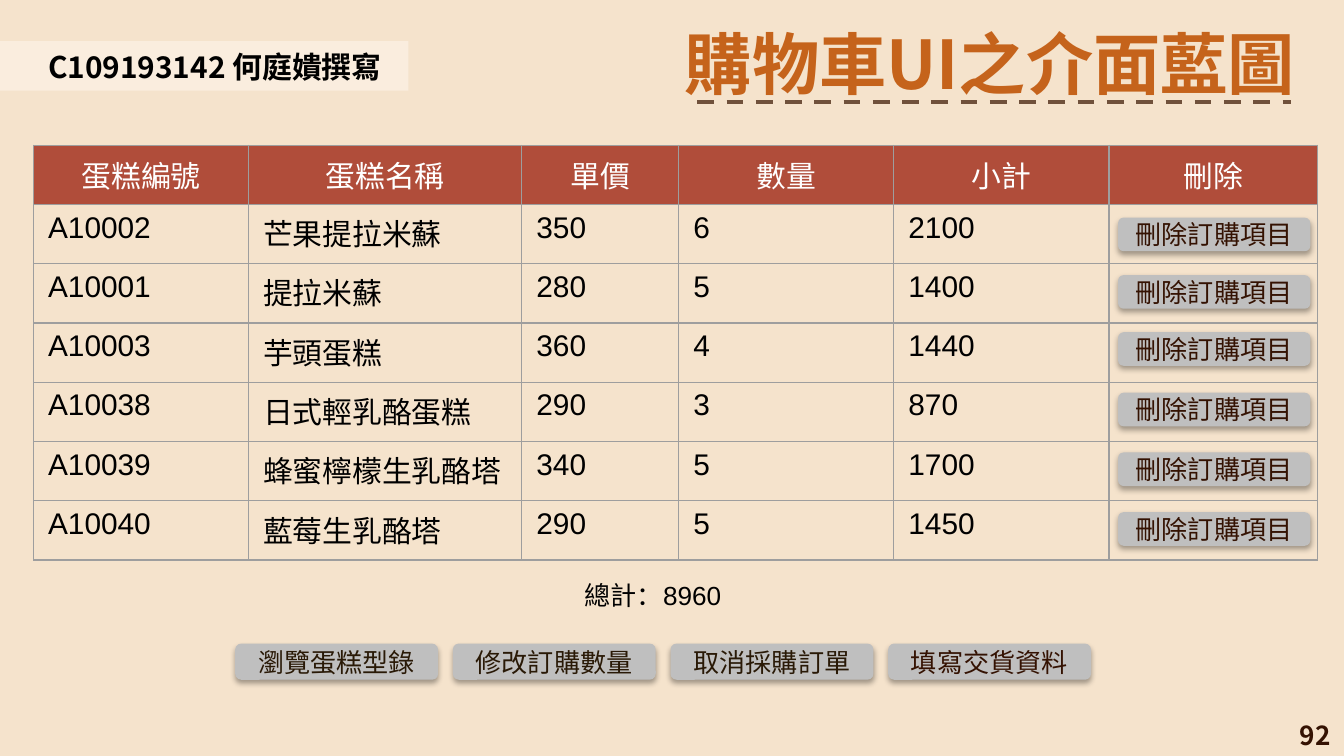
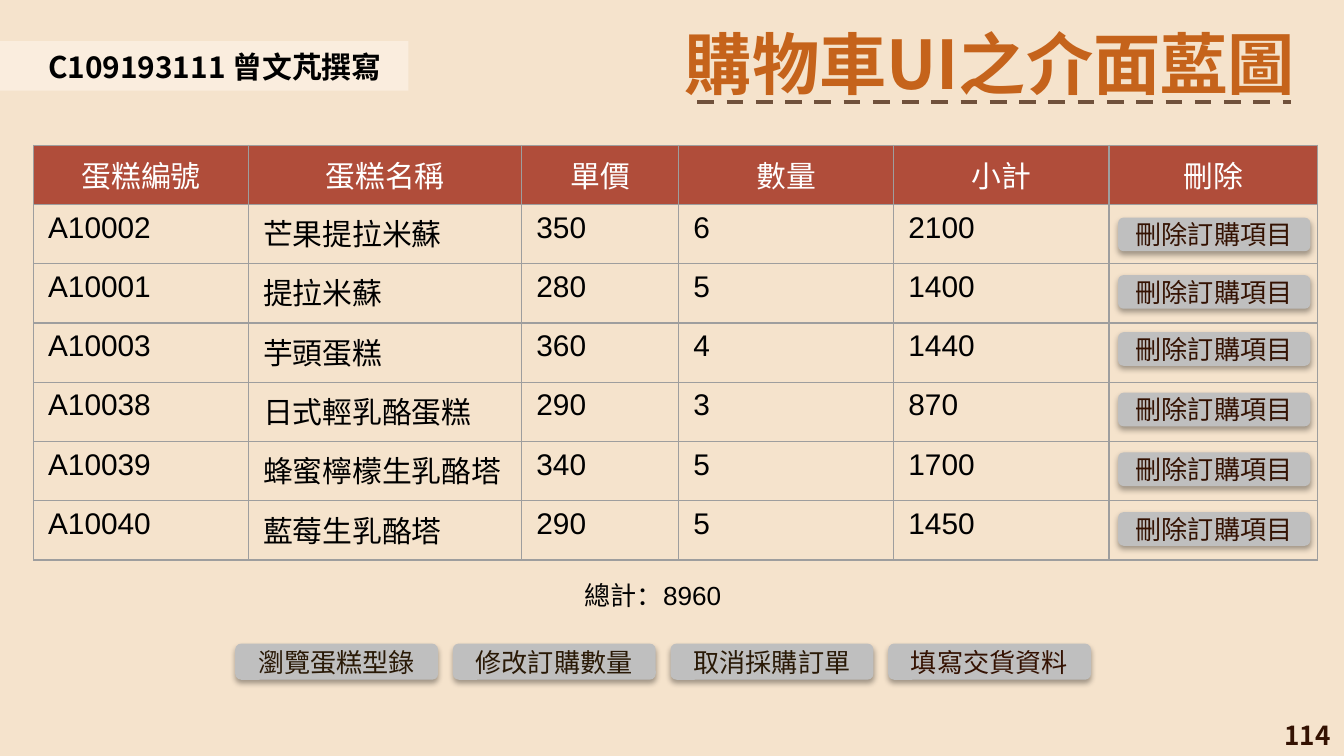
from dataclasses import dataclass

from lxml import etree
from pptx import Presentation
from pptx import slide as s
from pptx import util as u
from pptx.dml import color
from pptx.enum import dml, shapes, text
from pptx.oxml import ns

Pt = u.Pt
HUES = {
    "page": "F5E3CC", "title": "C5631B", "dash": "70513B", "band": "FAEDDE",
    "head": "B04D3A", "grid": "9E9E9E", "key": "BFBFBF", "brown": "291906",
    "wine": "341202", "black": "000000", "white": "FFFFFF",
}
SANS, BOLD = "Arial", "Noto Sans CJK SC"
LEFT, MID = text.PP_ALIGN.LEFT, text.PP_ALIGN.CENTER
RIGHT, FULL = text.PP_ALIGN.RIGHT, text.PP_ALIGN.JUSTIFY
TITLE = "購物車UI之介面藍圖"
HEAD = ("蛋糕編號", "蛋糕名稱", "單價", "數量", "小計", "刪除")
CAKES = (
    ("A10002", "芒果提拉米蘇", 350, 6),
    ("A10001", "提拉米蘇", 280, 5),
    ("A10003", "芋頭蛋糕", 360, 4),
    ("A10038", "日式輕乳酪蛋糕", 290, 3),
    ("A10039", "蜂蜜檸檬生乳酪塔", 340, 5),
    ("A10040", "藍莓生乳酪塔", 290, 5),
)
WIDTHS = (115.2, 146.4, 84.1, 115.2, 115.2, 111.8)
ROW = 31.75


@dataclass(frozen=True)
class Box:
    x: float
    y: float
    w: float
    h: float

    def place(self) -> tuple[int, ...]:
        return tuple(Pt(n) for n in (self.x, self.y, self.w, self.h))


@dataclass(frozen=True)
class Look:
    size: float
    hue: str
    face: str = SANS
    align: int = LEFT


@dataclass(frozen=True)
class Key:
    label: str
    box: Box
    hue: str


@dataclass(frozen=True)
class Page:
    author: str
    number: int


PAGES = (Page("C109193142 何庭嬇撰寫", 92), Page("C109193111 曾文芃撰寫", 114))
TASKS = (("瀏覽蛋糕型錄", "brown"), ("修改訂購數量", "brown"),
         ("取消採購訂單", "brown"), ("填寫交貨資料", "wine"))
DROPS = (116.6, 147.4, 178, 210.4, 242.4, 274.4)
KEYS = [Key(label, Box(126 + 116.6 * i, 344.8, 108.7, 19.4), hue)
        for i, (label, hue) in enumerate(TASKS)]
KEYS += [Key("刪除訂購項目", Box(599, y, 103, 18), "wine") for y in DROPS]


def tint(name: str) -> color.RGBColor:
    return color.RGBColor.from_string(HUES[name])


def write(frame, words: str, look: Look) -> None:
    frame.text = words
    for para in frame.paragraphs:
        para.alignment = look.align
        for run in para.runs:
            font = run.font
            font.size, font.name = Pt(look.size), look.face
            font.bold = look.face == BOLD
            font.color.rgb = tint(look.hue)
            if look.face == BOLD:
                east = etree.SubElement(run._r.get_or_add_rPr(), ns.qn("a:ea"))
                east.set("typeface", BOLD)


def add_text(slide: s.Slide, box: Box, words: str, look: Look,
             wrap: bool = True, grow: bool = True):
    frame = slide.shapes.add_textbox(*box.place()).text_frame
    frame.word_wrap = wrap
    if grow:
        frame.auto_size = text.MSO_AUTO_SIZE.SHAPE_TO_FIT_TEXT
    write(frame, words, look)
    return frame


def add_form(slide: s.Slide, kind: int, box: Box, hue: str):
    form = slide.shapes.add_shape(kind, *box.place())
    form.shadow.inherit = False
    form.fill.solid()
    form.fill.fore_color.rgb = tint(hue)
    form.line.fill.background()
    return form


def add_key(slide: s.Slide, key: Key) -> None:
    form = add_form(slide, shapes.MSO_SHAPE.ROUNDED_RECTANGLE, key.box, "key")
    shade = etree.SubElement(
        form._element.spPr.find(ns.qn("a:effectLst")), ns.qn("a:outerShdw"),
        blurRad=str(Pt(3.1)), dist=str(Pt(1.8)), dir="5400000", rotWithShape="0")
    ink = etree.SubElement(shade, ns.qn("a:srgbClr"), val=HUES["black"])
    etree.SubElement(ink, ns.qn("a:alpha"), val="35000")
    form.text_frame.vertical_anchor = text.MSO_ANCHOR.MIDDLE
    write(form.text_frame, key.label, Look(14, key.hue, align=MID))


def edge(cell) -> None:
    props = cell._tc.get_or_add_tcPr()
    for i, side in enumerate(("lnL", "lnR", "lnT", "lnB")):
        line = etree.Element(ns.qn(f"a:{side}"), w=str(Pt(0.75)))
        fill = etree.SubElement(line, ns.qn("a:solidFill"))
        etree.SubElement(fill, ns.qn("a:srgbClr"), val=HUES["grid"])
        props.insert(i, line)


def add_cart(slide: s.Slide) -> None:
    rows = [HEAD] + [(code, name, str(price), str(count), str(price * count), "")
                     for code, name, price, count in CAKES]
    box = Box(18, 77.8, sum(WIDTHS), ROW * len(rows))
    table = slide.shapes.add_table(len(rows), len(HEAD), *box.place()).table
    table.first_row = table.horz_banding = False
    for col, width in zip(table.columns, WIDTHS):
        col.width = Pt(width)
    for r, row in enumerate(rows):
        table.rows[r].height = Pt(ROW)
        for c, words in enumerate(row):
            cell = table.cell(r, c)
            cell.margin_left = cell.margin_right = Pt(7.8)
            cell.margin_top = cell.margin_bottom = Pt(3.6)
            if r == 0:
                cell.vertical_anchor = text.MSO_ANCHOR.MIDDLE
                cell.fill.solid()
                cell.fill.fore_color.rgb = tint("head")
                look = Look(16, "white", align=MID)
            else:
                cell.fill.background()
                look = Look(16, "black", align=FULL)
            if words:
                write(cell.text_frame, words, look)
            edge(cell)


def add_title(slide: s.Slide) -> None:
    title = slide.shapes.title
    title.left, title.top, title.width, title.height = Box(317.5, 5, 425.5, 53.3).place()
    frame = title.text_frame
    frame.margin_left = frame.margin_right = Pt(7.2)
    frame.margin_top = frame.margin_bottom = Pt(7.2)
    frame.word_wrap = True
    frame.auto_size = text.MSO_AUTO_SIZE.NONE
    frame.vertical_anchor = text.MSO_ANCHOR.TOP
    write(frame, TITLE, Look(36, "title", BOLD, MID))
    rule = slide.shapes.add_connector(
        shapes.MSO_CONNECTOR.STRAIGHT, Pt(373.6), Pt(54.6), Pt(691.4), Pt(54.6))
    rule.line.color.rgb = tint("dash")
    rule.line.width = Pt(2.25)
    rule.line.dash_style = dml.MSO_LINE.DASH
    etree.SubElement(rule._element.spPr, ns.qn("a:effectLst"))


def add_page(deck, page: Page) -> None:
    slide = deck.slides.add_slide(deck.slide_layouts.get_by_name("Title Only"))
    add_title(slide)
    add_form(slide, shapes.MSO_SHAPE.RECTANGLE, Box(0, 22, 218.9, 26.6), "band")
    add_text(slide, Box(18.7, 22.3, 199.4, 26.6), page.author, Look(16, "black", BOLD))
    add_cart(slide)
    total = sum(price * count for _, _, price, count in CAKES)
    add_text(slide, Box(306, 306.7, 90.7, 24.5), f"總計：{total}",
             Look(14, "black"), wrap=False)
    for key in KEYS:
        add_key(slide, key)
    frame = add_text(slide, Box(558, 383, 162, 21.6), str(page.number),
                     Look(14, "wine", BOLD, RIGHT), grow=False)
    frame.vertical_anchor = text.MSO_ANCHOR.MIDDLE


def main() -> None:
    deck = Presentation()
    deck.slide_width, deck.slide_height = Pt(720), Pt(405)
    back = deck.slide_master.background.fill
    back.solid()
    back.fore_color.rgb = tint("page")
    for page in PAGES:
        add_page(deck, page)
    deck.save("out.pptx")


if __name__ == "__main__":
    main()
